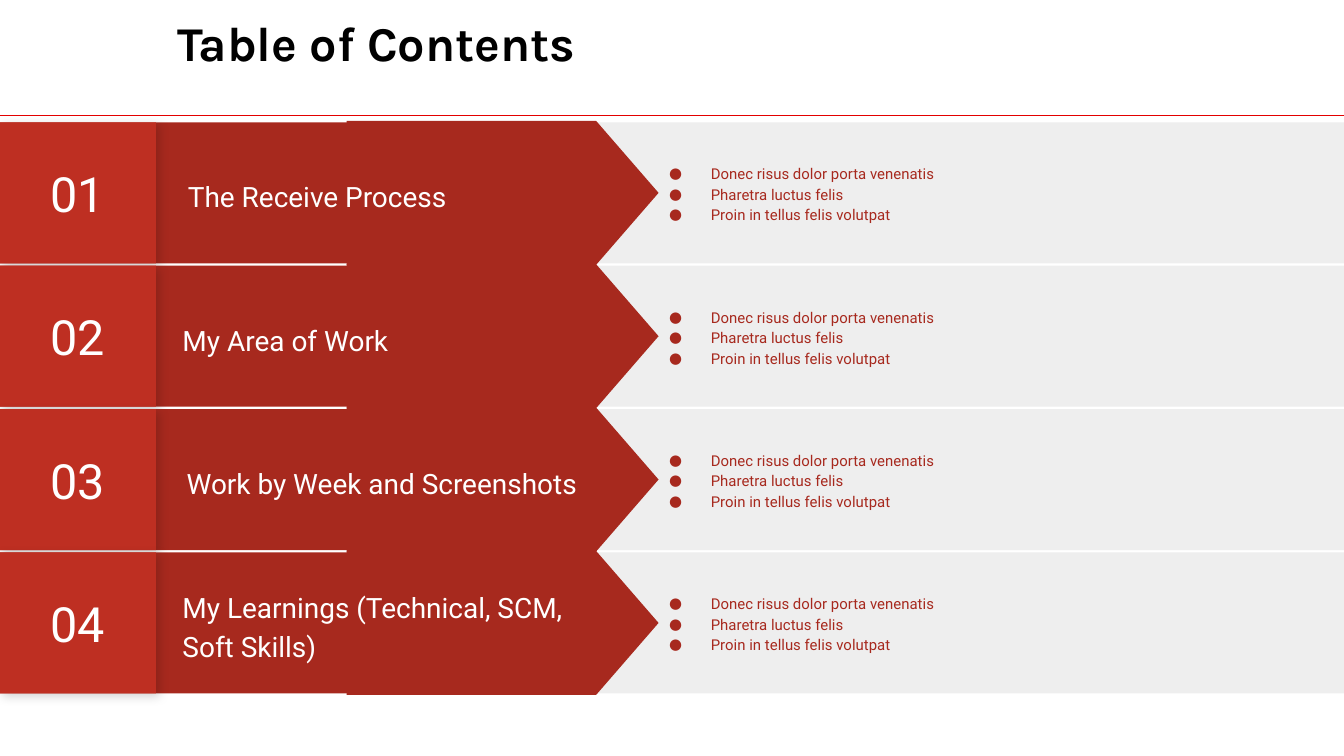
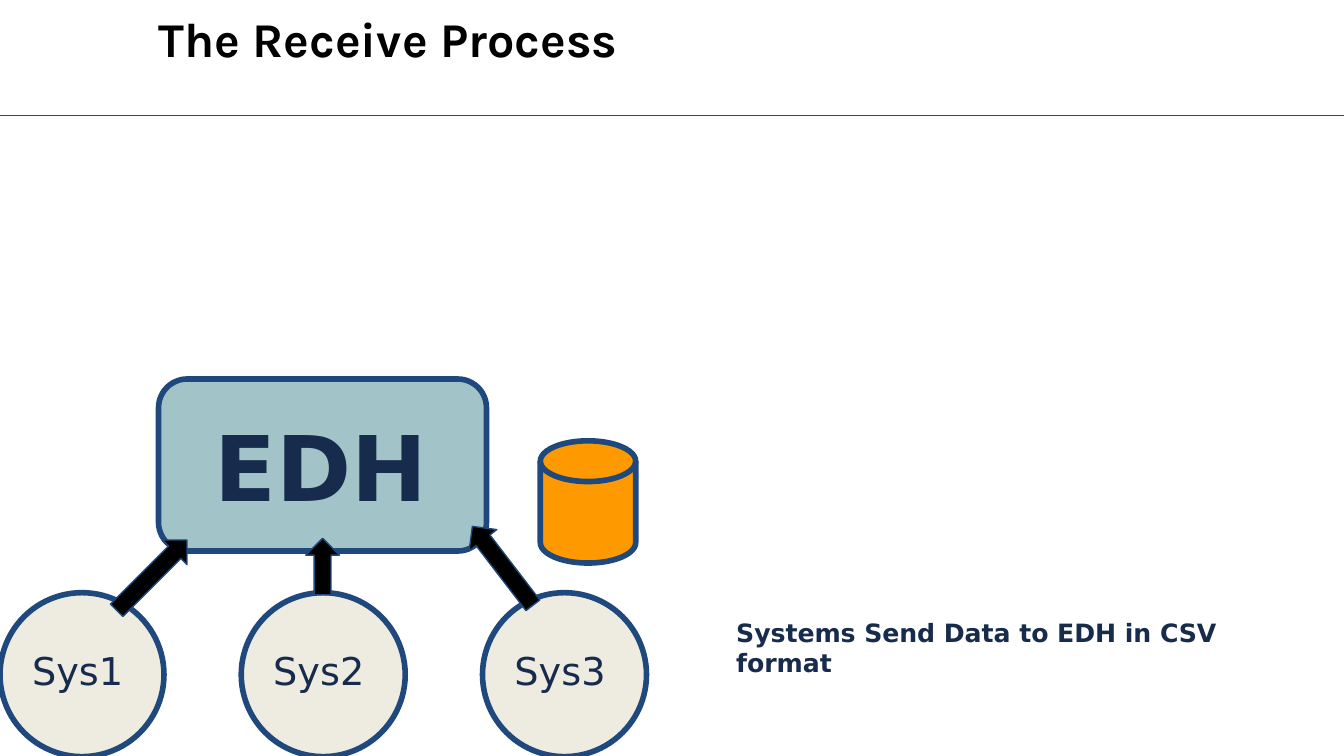
from lxml.etree import SubElement
from pptx import Presentation
from pptx.dml.color import RGBColor
from pptx.enum.shapes import MSO_SHAPE
from pptx.enum.text import MSO_ANCHOR, PP_ALIGN
from pptx.oxml.ns import qn
from pptx.util import Inches, Pt

# Content
BULLETS = ["Donec risus dolor porta venenatis", "Pharetra luctus felis",
           "Proin in tellus felis volutpat"]
CONTENTS = [  # number, label, left and width of the label
    ("01", "The Receive Process", 1.3, 3.26),
    ("02", "My Area of Work", 1.26, 3.26),
    ("03", "Work by Week and Screenshots", 1.29, 3.22),
    ("04", "My Learnings (Technical, SCM, Soft Skills)", 1.26, 3.26),
]
SYSTEMS = ["Sys1", "Sys2", "Sys3"]
ARROWS = [  # left, top, width, height, rotation
    (0.76, 4.15, 0.74, 0.26, 315),
    (2.19, 4.09, 0.42, 0.25, 270),
    (3.37, 4.08, 0.74, 0.26, 232.5),
]

# Shared style
RULE, RED, DARK_RED, SHADE_RED, GREY = "E30000", "BE2F22", "A7291E", "B02B20", "EEEEEE"
NAVY, BLUE, TEAL, CREAM, ORANGE = "172B4D", "1F497D", "A2C4C9", "EEECE1", "FF9900"
BLACK, WHITE = "000000", "FFFFFF"
TITLE = dict(size=26, name="Karla", color=BLACK, bold=True)
NUMBER = dict(size=26, name="Roboto", color=WHITE)
LABEL = dict(size=15, name="Roboto", color=WHITE)
BULLET = dict(size=8, name="Roboto", color=DARK_RED)
HUB = dict(size=48.5, name="DejaVu Sans", color=NAVY, bold=True)
SYSTEM = dict(size=20.5, name="DejaVu Sans", color=NAVY)
NOTE = dict(size=13.5, name="DejaVu Sans", color=NAVY, bold=True)

FIRST_TOP, LAST_TOP, ROW_H = 0.91, 4.11, 1.05
ROW_STEP = (LAST_TOP - FIRST_TOP) / (len(CONTENTS) - 1)
NUMBER_W, BAND_W = 1.16, 3.1
POINT_W, POINT_H, POINT_CENTER = 1.07, 2.32, 3.74
LAST_SYS_LEFT, SYS_SIZE = 3.59, 1.22
SYS_STEP = LAST_SYS_LEFT / (len(SYSTEMS) - 1)


def rgb(value):
    return RGBColor.from_string(value)


def box(*lengths):
    return [Inches(v) for v in lengths]


def style_font(font, style):
    for key, value in style.items():
        if key == "color":
            font.color.rgb = rgb(value)
        else:
            setattr(font, key, Pt(value) if key == "size" else value)


def write(sp, lines, style, inset=0.1, anchor=MSO_ANCHOR.TOP, align=PP_ALIGN.LEFT,
          spacing=None, bullet=False):
    tf = sp.text_frame
    tf.word_wrap = True
    tf.vertical_anchor = anchor
    for side in ("left", "right", "top", "bottom"):
        setattr(tf, f"margin_{side}", Inches(inset))
    for i, line in enumerate(lines):
        p = tf.add_paragraph() if i else tf.paragraphs[0]
        p.alignment = align
        if spacing:
            p.line_spacing = spacing
        if bullet:
            add_bullet(p, style)
        r = p.add_run()
        r.text = line
        style_font(r.font, style)


def add_bullet(p, style):
    pPr = p._p.get_or_add_pPr()
    pPr.set("marL", str(Inches(0.5)))
    pPr.set("indent", str(Inches(-0.31)))
    SubElement(SubElement(pPr, qn("a:buClr")), qn("a:srgbClr"), val=style["color"])
    SubElement(pPr, qn("a:buSzPts"), val=str(style["size"] * 100))
    SubElement(pPr, qn("a:buFont"), typeface=style["name"])
    SubElement(pPr, qn("a:buChar"), char="●")


def add_text(shapes, at, lines, style, **layout):
    write(shapes.add_textbox(*box(*at)), lines, style, **layout)


def set_line(sp, color, width):
    sp.line.color.rgb = rgb(color)
    sp.line.width = Pt(width)


def add_shape(shapes, kind, at, fill, line=None, width=3, rotation=0):
    sp = shapes.add_shape(kind, *box(*at))
    sp.shadow.inherit = False
    sp.rotation = rotation
    sp.fill.solid()
    sp.fill.fore_color.rgb = rgb(fill)
    if line:
        set_line(sp, line, width)
    else:
        sp.line.fill.background()
    return sp


def add_shadow(sp):
    effects = sp._element.spPr.find(qn("a:effectLst"))
    outer = SubElement(effects, qn("a:outerShdw"), blurRad=str(Pt(5.6)), dist=str(Pt(2.2)),
                       dir=str(45 * 60000), algn="bl", rotWithShape="0")
    color = SubElement(outer, qn("a:srgbClr"), val=BLACK)
    SubElement(color, qn("a:alpha"), val="17000")


def add_layout_rule(s):
    """Draw the red rule and move it to the layout that all slides share."""
    builder = s.shapes.build_freeform(*box(0, 0.86))
    builder.add_line_segments([box(10, 0.86)], close=False)
    rule = builder.convert_to_shape()
    rule.shadow.inherit = False
    rule.fill.background()
    set_line(rule, RULE, 0.75)
    s.slide_layout.shapes.element.append(rule.element)


def new_slide(prs, title, at):
    s = prs.slides.add_slide(prs.slide_layouts[5])
    sp = s.shapes.title
    sp.left, sp.top, sp.width, sp.height = box(*at)
    write(sp, [title], TITLE, inset=0)
    return s


def add_row(s, i, number, label, label_left, label_w):
    shapes = s.shapes.add_group_shape().shapes
    top = FIRST_TOP + i * ROW_STEP
    middle = top + ROW_H / 2
    # Grey strip, red band and its point
    add_shape(shapes, MSO_SHAPE.RECTANGLE, (3.58, top, 6.42, ROW_H), GREY)
    add_shape(shapes, MSO_SHAPE.RECTANGLE, (NUMBER_W, top, BAND_W, ROW_H), DARK_RED)
    add_shape(shapes, MSO_SHAPE.FLOWCHART_OFFPAGE_CONNECTOR,
              (POINT_CENTER - POINT_W / 2, middle - POINT_H / 2, POINT_W, POINT_H),
              DARK_RED, rotation=270)
    add_text(shapes, (label_left, top + 0.13, label_w, 0.81), [label], LABEL,
             anchor=MSO_ANCHOR.MIDDLE, spacing=1.15)
    # Number tile over its shadow
    tile = (0, top, NUMBER_W, ROW_H)
    add_shadow(add_shape(shapes, MSO_SHAPE.RECTANGLE, tile, SHADE_RED))
    write(add_shape(shapes, MSO_SHAPE.RECTANGLE, tile, RED), [number], NUMBER,
          anchor=MSO_ANCHOR.MIDDLE, align=PP_ALIGN.CENTER)
    add_text(shapes, (4.69, top, 4.99, ROW_H), BULLETS, BULLET,
             anchor=MSO_ANCHOR.MIDDLE, spacing=1.15, bullet=True)


def contents_slide(prs):
    s = new_slide(prs, "Table of Contents", (1.32, 0.1, 6.41, 0.44))
    add_layout_rule(s)
    for i, row in enumerate(CONTENTS):
        add_row(s, i, *row)


def process_slide(prs):
    s = new_slide(prs, "The Receive Process", (1.18, 0.07, 5.78, 0.44))
    # Hub
    hub = add_shape(s.shapes, MSO_SHAPE.ROUNDED_RECTANGLE, (1.18, 2.82, 2.44, 1.28), TEAL, BLUE)
    hub.adjustments[0] = 0.167
    add_text(s.shapes, (1.5, 2.96, 2.01, 0.74), ["EDH"], HUB)
    # Source systems
    for i, name in enumerate(SYSTEMS):
        left = i * SYS_STEP
        add_shape(s.shapes, MSO_SHAPE.OVAL, (left, 4.41, SYS_SIZE, SYS_SIZE), CREAM, BLUE)
        add_text(s.shapes, (left + 0.14, 4.72, 0.93, 0.6), [name], SYSTEM)
    add_text(s.shapes, (5.38, 4.49, 4.1, 0.82), ["Systems Send Data to EDH in CSV format"], NOTE)
    # Arrows into the hub, and the data store
    for *at, rotation in ARROWS:
        add_shape(s.shapes, MSO_SHAPE.RIGHT_ARROW, at, BLACK, BLUE, 0.75, rotation)
    add_shape(s.shapes, MSO_SHAPE.FLOWCHART_MAGNETIC_DISK, (4.02, 3.28, 0.71, 0.91), ORANGE, BLUE)


def main():
    prs = Presentation()
    prs.slide_width = Inches(10)
    prs.slide_height = Inches(10 * 9 / 16)
    contents_slide(prs)
    process_slide(prs)
    prs.save("out.pptx")


if __name__ == "__main__":
    main()
